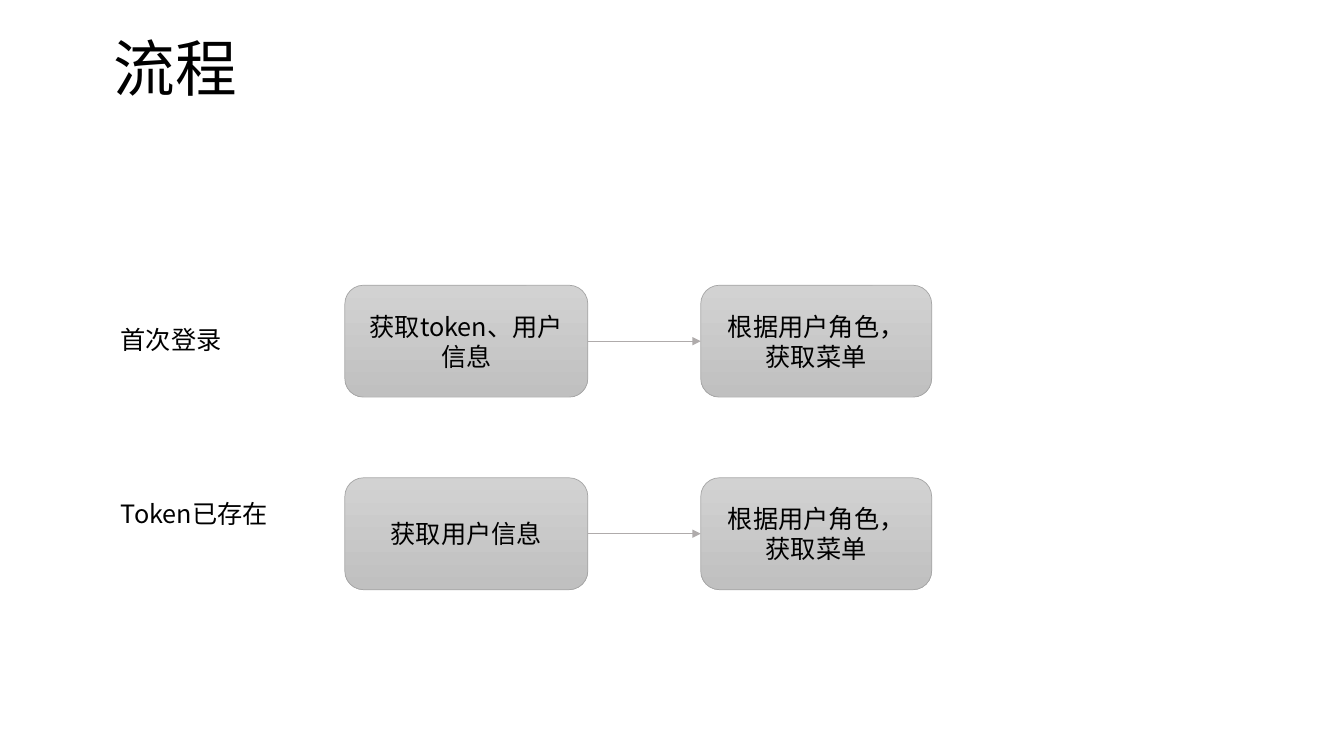
"""Build the login flow slide: two scenarios, each leading to the menu step."""
import pptx
import pptx.dml.color
import pptx.enum.shapes
import pptx.enum.text
import pptx.oxml
import pptx.oxml.ns
import pptx.util

Inches = pptx.util.Inches
Pt = pptx.util.Pt
ANCHOR = pptx.enum.text.MSO_ANCHOR
ALIGN = pptx.enum.text.PP_ALIGN
FONT = "Noto Sans CJK SC"
COLORS = {
    "text": "000000",
    "box_top": "D2D2D2",
    "box_bottom": "C0C0C0",
    "border": "A5A5A5",
    "arrow": "AFABAB",
}
RGB = {part: pptx.dml.color.RGBColor.from_string(code) for part, code in COLORS.items()}


def write(frame, text, size, anchor, align):
    frame.word_wrap = True
    frame.vertical_anchor = anchor
    paragraph = frame.paragraphs[0]
    paragraph.alignment = align
    run = paragraph.add_run()
    run.text = text
    run.font.size = Pt(size)
    run.font.name = FONT
    run.font.color.rgb = RGB["text"]
    east_asian = pptx.oxml.parse_xml(f'<a:ea {pptx.oxml.ns.nsdecls("a")} typeface="{FONT}"/>')
    run.font._element.append(east_asian)
    return paragraph


def add_step(shapes, left, top, width, height, text):
    step = shapes.add_shape(
        pptx.enum.shapes.MSO_SHAPE.ROUNDED_RECTANGLE,
        Inches(left), Inches(top), Inches(width), Inches(height),
    )
    step.shadow.inherit = False
    step.fill.gradient()
    step.fill.gradient_angle = 270
    for stop, part in zip(step.fill.gradient_stops, ("box_top", "box_bottom")):
        stop.color.rgb = RGB[part]
    step.line.color.rgb = RGB["border"]
    step.line.width = Pt(0.5)
    write(step.text_frame, text, 18, ANCHOR.MIDDLE, ALIGN.CENTER)
    return step


deck = pptx.Presentation()
deck.slide_width = Inches(13.33)
deck.slide_height = Inches(7.5)
shapes = deck.slides.add_slide(deck.slide_layouts[6]).shapes

title = shapes.add_textbox(Inches(1.03), Inches(0.3), Inches(11.5), Inches(0.81))
write(title.text_frame, "流程", 44, ANCHOR.MIDDLE, ALIGN.LEFT).line_spacing = 0.9

FIRST_ROW, ROW_PITCH, STEP_HEIGHT = 2.83, 1.91, 1.11
LABEL_LEFT, LABEL_WIDTH, LABEL_HEIGHT = 1.1, 1.8, 0.4
FETCH_LEFT, FETCH_WIDTH = 3.42, 2.41
MENU_LEFT, MENU_WIDTH = 6.95, 2.29
RIGHT_SITE, LEFT_SITE = 3, 1

scenarios = [
    ("首次登录", 0.34, "获取token、用户信息"),
    ("Token已存在", 0.15, "获取用户信息"),
]
for row, (scenario, label_offset, fetch_text) in enumerate(scenarios):
    top = FIRST_ROW + row * ROW_PITCH
    label = shapes.add_textbox(
        Inches(LABEL_LEFT), Inches(top + label_offset), Inches(LABEL_WIDTH), Inches(LABEL_HEIGHT)
    )
    write(label.text_frame, scenario, 18, ANCHOR.TOP, ALIGN.LEFT)
    label.text_frame.auto_size = pptx.enum.text.MSO_AUTO_SIZE.SHAPE_TO_FIT_TEXT

    fetch = add_step(shapes, FETCH_LEFT, top, FETCH_WIDTH, STEP_HEIGHT, fetch_text)
    menu = add_step(shapes, MENU_LEFT, top, MENU_WIDTH, STEP_HEIGHT, "根据用户角色，获取菜单")

    arrow = shapes.add_connector(pptx.enum.shapes.MSO_CONNECTOR.STRAIGHT, 0, 0, 0, 0)
    arrow.begin_connect(fetch, RIGHT_SITE)
    arrow.end_connect(menu, LEFT_SITE)
    arrow.line.color.rgb = RGB["arrow"]
    arrow.line.width = Pt(0.5)
    namespace = pptx.oxml.ns.nsdecls("a")
    arrow.line._get_or_add_ln().append(pptx.oxml.parse_xml(f'<a:tailEnd {namespace} type="triangle"/>'))
    arrow._element.spPr.append(pptx.oxml.parse_xml(f"<a:effectLst {namespace}/>"))

deck.save("out.pptx")
